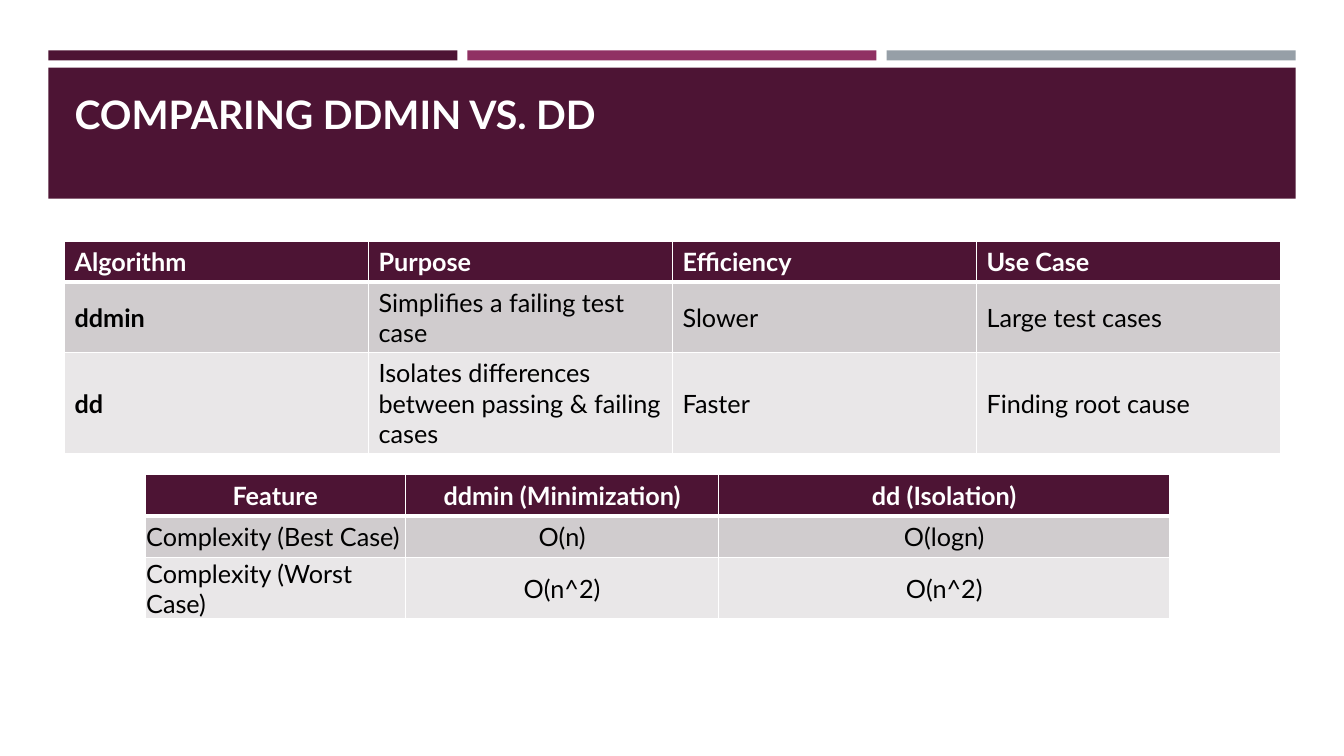
from lxml.etree import SubElement
from pptx import Presentation
from pptx.dml.color import RGBColor
from pptx.enum.shapes import MSO_SHAPE
from pptx.enum.text import MSO_ANCHOR, MSO_AUTO_SIZE, PP_ALIGN
from pptx.oxml.ns import qn
from pptx.util import Inches, Pt

FONT = "Lato"
PLUM, MAGENTA, GREY = "4D1434", "903163", "969FA7"
WHITE, BLACK = "FFFFFF", "000000"
ROW_FILLS = [PLUM, "D0CCCE", "E9E7E8"]
ROW_HEIGHT = 0.41

ALGORITHMS = [
    ["Algorithm", "Purpose", "Efficiency", "Use Case"],
    ["ddmin", "Simplifies a failing test case", "Slower", "Large test cases"],
    ["dd", "Isolates differences between passing & failing cases", "Faster",
     "Finding root cause"],
]
COMPLEXITY = [
    ["Feature", "ddmin (Minimization)", "dd (Isolation)"],
    ["Complexity (Best Case)", "O(n)", "O(logn)"],
    ["Complexity (Worst Case)", "O(n^2)", "O(n^2)"],
]


def color(value):
    return RGBColor.from_string(value)


def format_text(paragraph, size, fill, bold):
    for run in paragraph.runs:
        run.font.name = FONT
        run.font.size = Pt(size)
        run.font.bold = bold
        run.font.color.rgb = color(fill)


def add_bar(slide, left, top, width, height, fill):
    shape = slide.shapes.add_shape(MSO_SHAPE.RECTANGLE, Inches(left), Inches(top),
                                   Inches(width), Inches(height))
    shape.shadow.inherit = False
    shape.fill.solid()
    shape.fill.fore_color.rgb = color(fill)
    shape.line.fill.background()


def add_header(slide, left, top, width, text):
    # Three accent strips above the title band
    gap = 0.1
    strip_width = (width - 2 * gap) / 3
    for index, fill in enumerate([PLUM, MAGENTA, GREY]):
        add_bar(slide, left + index * (strip_width + gap), top, strip_width, 0.1, fill)
    add_bar(slide, left, top + 0.17, width, 1.3, PLUM)

    # Title, brought in front of the band
    title = slide.shapes.title
    title.left, title.top = Inches(left + 0.16), Inches(top + 0.27)
    title.width, title.height = Inches(width - 0.31), Inches(1.11)
    frame = title.text_frame
    frame.text = text
    frame.word_wrap = True
    frame.auto_size = MSO_AUTO_SIZE.NONE
    frame.vertical_anchor = MSO_ANCHOR.TOP
    frame.margin_top = Inches(0.13)
    frame.paragraphs[0].alignment = PP_ALIGN.LEFT
    format_text(frame.paragraphs[0], 28, WHITE, True)
    slide.shapes._spTree.append(title._element)


def set_borders(cell, top, bottom):
    properties = cell._tc.get_or_add_tcPr()
    sides = [("a:lnL", 1), ("a:lnR", 1), ("a:lnT", top), ("a:lnB", bottom)]
    for index, (tag, points) in enumerate(sides):
        line = SubElement(properties, qn(tag), w=str(Pt(points)))
        fill = SubElement(line, qn("a:solidFill"))
        SubElement(fill, qn("a:srgbClr"), val=WHITE)
        properties.insert(index, line)


def add_grid(slide, left, top, widths, rows, centered=False, bold_labels=False):
    table = slide.shapes.add_table(
        len(rows), len(widths), Inches(left), Inches(top),
        Inches(sum(widths)), Inches(ROW_HEIGHT * len(rows))).table
    for column, width in zip(table.columns, widths):
        column.width = Inches(width)

    for row_index, row in enumerate(rows):
        table.rows[row_index].height = Inches(ROW_HEIGHT)
        header = row_index == 0
        for column_index, text in enumerate(row):
            cell = table.cell(row_index, column_index)
            label = column_index == 0
            cell.text_frame.text = text
            cell.vertical_anchor = MSO_ANCHOR.MIDDLE
            paragraph = cell.text_frame.paragraphs[0]
            if centered:
                cell.margin_left = cell.margin_right = cell.margin_top = Inches(0.01)
                cell.margin_bottom = 0
                if header or not label:
                    paragraph.alignment = PP_ALIGN.CENTER
            format_text(paragraph, 18, WHITE if header else BLACK,
                        header or (label and bold_labels))
            cell.fill.solid()
            cell.fill.fore_color.rgb = color(ROW_FILLS[row_index])
            set_borders(cell, top=3 if row_index == 1 else 1, bottom=3 if header else 1)


def main():
    presentation = Presentation()
    presentation.slide_width = Inches(13.33)
    presentation.slide_height = Inches(7.5)
    slide = presentation.slides.add_slide(presentation.slide_layouts[5])

    add_header(slide, 0.48, 0.5, 12.37, "COMPARING DDMIN VS. DD")
    # Purpose and use of each algorithm
    add_grid(slide, 0.64, 2.39, [3.015] * 4, ALGORITHMS, bold_labels=True)
    # Complexity of each algorithm
    add_grid(slide, 1.44, 4.71, [2.58, 3.11, 4.47], COMPLEXITY, centered=True)

    presentation.save("out.pptx")


if __name__ == "__main__":
    main()
